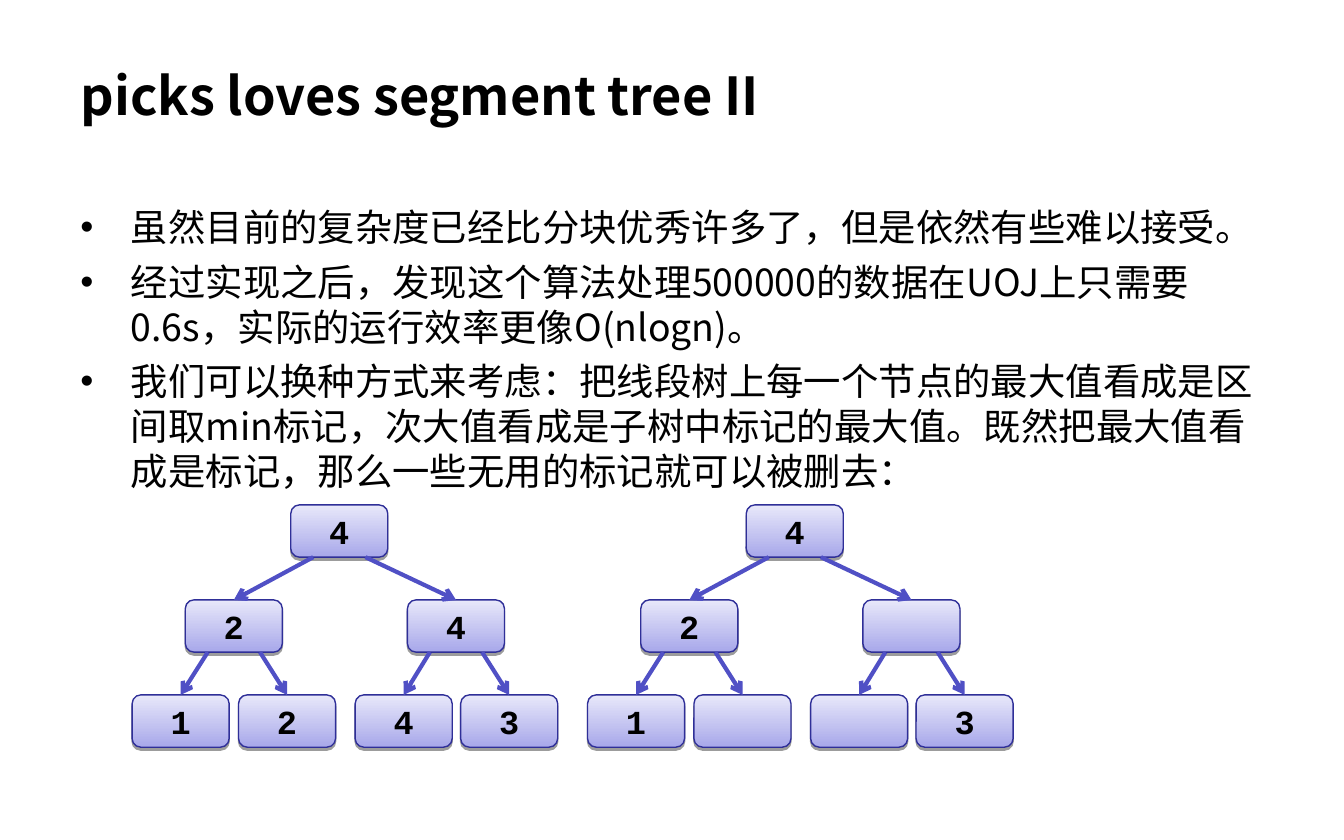
from dataclasses import dataclass
from typing import Any

from lxml.etree import SubElement
from pptx import Presentation
from pptx.dml.color import RGBColor
from pptx.enum.shapes import MSO_CONNECTOR, MSO_SHAPE
from pptx.enum.text import MSO_ANCHOR, PP_ALIGN
from pptx.oxml.ns import qn
from pptx.util import Pt


@dataclass(frozen=True)
class Theme:
    text: str = "000000"
    node_bottom: str = "A8A8EA"
    node_top: str = "E8E8FA"
    node_line: str = "2F2F98"
    arrow: str = "5050C5"
    sans: str = "Noto Sans CJK SC"
    mono: str = "Courier New"
    title_size: float = 28
    body_size: float = 20
    node_size: float = 18


@dataclass(frozen=True)
class Tree:
    left: float
    labels: tuple[str, ...]  # level by level, root first


THEME = Theme()
NODE_W, NODE_H = 52, 28
TREE_TOP, ROW_STEP = 270.5, 50.9
NODE_X = (85, 28.5, 147.5, 0, 57, 119.5, 176)  # from the tree's left edge
ARROW_SPREAD = 14  # from the parent's centre line
INDENT = 27

TITLE = "picks loves segment tree II"
BULLETS = (
    "虽然目前的复杂度已经比分块优秀许多了，但是依然有些难以接受。",
    "经过实现之后，发现这个算法处理500000的数据在UOJ上只需要0.6s，实际的运行效率更像O(nlogn)。",
    "我们可以换种方式来考虑：把线段树上每一个节点的最大值看成是区间取min标记，"
    "次大值看成是子树中标记的最大值。既然把最大值看成是标记，那么一些无用的标记就可以被删去：",
)
TREES = (
    Tree(70.8, ("4", "2", "4", "1", "2", "4", "3")),
    Tree(314.8, ("4", "2", "", "1", "", "", "3")),
)


def rgb(value: str) -> RGBColor:
    return RGBColor.from_string(value)


def set_format(target: Any, **values: Any) -> None:
    for name, value in values.items():
        setattr(target, name, value)


def add_run(p: Any, text: str, font: str, size: float, bold: bool = False) -> None:
    r = p.add_run()
    r.text = text
    set_format(r.font, name=font, size=Pt(size), bold=bold)
    r.font.color.rgb = rgb(THEME.text)
    SubElement(r.font._element, qn("a:ea"), typeface=font)


def add_title(s: Any) -> None:
    sp = s.shapes.title
    set_format(sp, left=Pt(36), top=Pt(18), width=Pt(648), height=Pt(65.5))
    tf = sp.text_frame
    set_format(tf, word_wrap=True, vertical_anchor=MSO_ANCHOR.MIDDLE)
    p = tf.paragraphs[0]
    p.alignment = PP_ALIGN.LEFT
    add_run(p, TITLE, THEME.sans, THEME.title_size, bold=True)


def add_bullets(s: Any) -> None:
    tf = s.shapes.add_textbox(Pt(36), Pt(106), Pt(647), Pt(160)).text_frame
    tf.word_wrap = True
    for i, text in enumerate(BULLETS):
        p = tf.add_paragraph() if i else tf.paragraphs[0]
        set_format(p, line_spacing=Pt(24.1), space_before=Pt(5 if i else 0))
        pPr = p._p.get_or_add_pPr()
        pPr.set("marL", str(Pt(INDENT)))
        pPr.set("indent", str(-Pt(INDENT)))
        SubElement(pPr, qn("a:buFont"), typeface="Arial")
        SubElement(pPr, qn("a:buChar"), char="•")
        add_run(p, text, THEME.sans, THEME.body_size)


def node_place(tree: Tree, index: int) -> tuple[float, float]:
    """Left and top of a node, counted level by level from 0."""
    row = (index + 1).bit_length() - 1
    return tree.left + NODE_X[index], TREE_TOP + row * ROW_STEP


def add_node(shapes: Any, x: float, y: float, label: str) -> None:
    sp = shapes.add_shape(MSO_SHAPE.ROUNDED_RECTANGLE, Pt(x), Pt(y), Pt(NODE_W), Pt(NODE_H))
    sp.fill.gradient()
    sp.fill.gradient_angle = 90
    for stop, color in zip(sp.fill.gradient_stops, (THEME.node_bottom, THEME.node_top)):
        stop.color.rgb = rgb(color)
    sp.line.color.rgb = rgb(THEME.node_line)
    sp.line.width = Pt(0.75)
    sp.shadow.inherit = False
    effects = sp._element.spPr.find(qn("a:effectLst"))
    shadow = SubElement(effects, qn("a:outerShdw"), dist=str(Pt(1.6)), dir="5400000", rotWithShape="0")
    color = SubElement(shadow, qn("a:srgbClr"), val="000000")
    SubElement(color, qn("a:alpha"), val="38000")
    if label:
        tf = sp.text_frame
        tf.vertical_anchor = MSO_ANCHOR.MIDDLE
        p = tf.paragraphs[0]
        p.alignment = PP_ALIGN.CENTER
        add_run(p, label, THEME.mono, THEME.node_size, bold=True)


def add_arrow(shapes: Any, x1: float, y1: float, x2: float, y2: float) -> None:
    cxn = shapes.add_connector(MSO_CONNECTOR.STRAIGHT, Pt(x1), Pt(y1), Pt(x2), Pt(y2))
    cxn.line.color.rgb = rgb(THEME.arrow)
    cxn.line.width = Pt(2.25)
    SubElement(cxn.line._get_or_add_ln(), qn("a:tailEnd"), type="arrow")
    SubElement(cxn._element.spPr, qn("a:effectLst"))


def add_tree(s: Any, tree: Tree) -> None:
    shapes = s.shapes.add_group_shape().shapes
    for i, label in enumerate(tree.labels):
        add_node(shapes, *node_place(tree, i), label)
    for child in range(1, len(tree.labels)):
        px, py = node_place(tree, (child - 1) // 2)
        cx, cy = node_place(tree, child)
        side = -ARROW_SPREAD if child % 2 else ARROW_SPREAD
        add_arrow(shapes, px + NODE_W / 2 + side, py + NODE_H, cx + NODE_W / 2, cy)


def main() -> None:
    prs = Presentation()
    set_format(prs, slide_width=Pt(720), slide_height=Pt(450))
    s = prs.slides.add_slide(prs.slide_layouts[5])
    add_title(s)
    add_bullets(s)
    for tree in TREES:
        add_tree(s, tree)
    prs.save("out.pptx")


if __name__ == "__main__":
    main()
